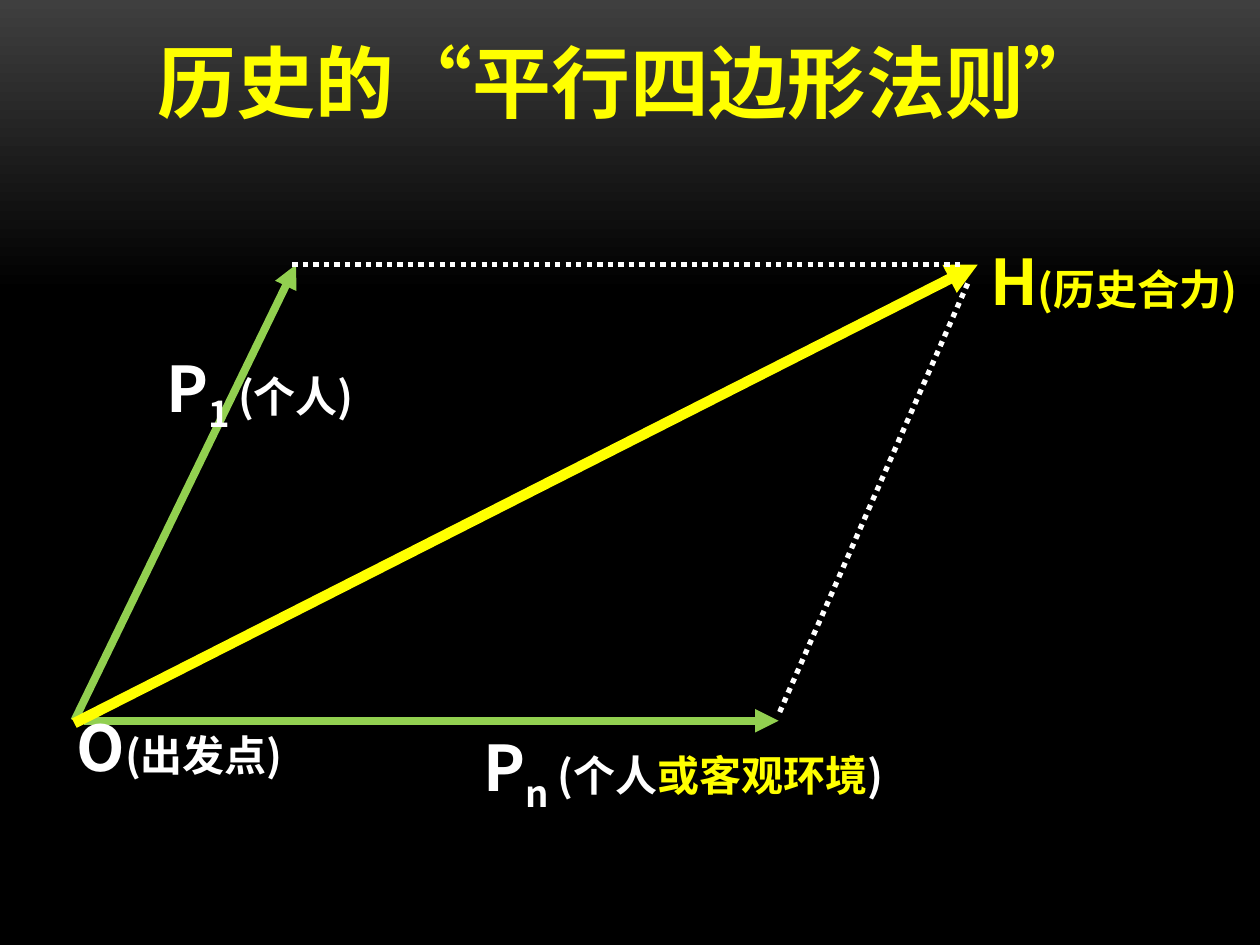
from dataclasses import dataclass

from lxml.etree import SubElement
from pptx import Presentation
from pptx.dml.color import RGBColor
from pptx.enum.dml import MSO_LINE
from pptx.enum.shapes import MSO_CONNECTOR
from pptx.enum.text import MSO_ANCHOR, MSO_AUTO_SIZE, PP_ALIGN
from pptx.oxml.ns import qn
from pptx.util import Inches, Pt


@dataclass(frozen=True)
class Theme:
    font: str = "Noto Sans CJK SC"
    white: str = "FFFFFF"
    gold: str = "FFFF00"
    green: str = "92D050"
    glow: str = "3F3F3F"
    dark: str = "000000"
    title: int = 45
    mark: int = 36
    note: int = 24
    lead: float = 0.9


THEME = Theme()
WIDE, HIGH = 10, 7.5


def across(pct):
    return Inches(WIDE * pct / 100)


def down(pct):
    return Inches(HIGH * pct / 100)


def paint(slide):
    """Fade the background from grey at the top to black."""
    fill = slide.background.fill
    fill.gradient()
    fill.gradient_angle = 270
    stops = ((0, THEME.glow), (0.31, THEME.dark))
    for stop, (place, color) in zip(fill.gradient_stops, stops):
        stop.position = place
        stop.color.rgb = RGBColor.from_string(color)


def draw_line(shapes, start, end, color, width):
    line = shapes.add_connector(
        MSO_CONNECTOR.STRAIGHT,
        across(start[0]), down(start[1]), across(end[0]), down(end[1]))
    line.line.color.rgb = RGBColor.from_string(color)
    line.line.width = Pt(width)
    SubElement(line._element.spPr, qn("a:effectLst"))
    return line


def draw_force(shapes, start, end, color, width):
    """Draw a solid line with an arrowhead at its end."""
    line = draw_line(shapes, start, end, color, width)
    SubElement(line.line._get_or_add_ln(), qn("a:tailEnd"), type="triangle")


def draw_side(shapes, start, end):
    """Draw a dotted side that closes the parallelogram."""
    line = draw_line(shapes, start, end, THEME.white, 3)
    line.line.dash_style = MSO_LINE.ROUND_DOT


def add_text(shapes, place, parts):
    """Add one paragraph; each part is text, size, colour and baseline."""
    left, top, width, height = place
    box = shapes.add_textbox(
        across(left), down(top), across(width), down(height))
    frame = box.text_frame
    frame.word_wrap = True
    para = frame.paragraphs[0]
    para.line_spacing = THEME.lead
    for text, size, color, base in parts:
        run = para.add_run()
        run.text = text
        font = run.font
        font.name, font.size, font.bold = THEME.font, Pt(size), True
        font.color.rgb = RGBColor.from_string(color)
        props = run._r.get_or_add_rPr()
        SubElement(props, qn("a:ea"), typeface=THEME.font)
        if base:
            props.set("baseline", str(base * 1000))
    return frame


def add_label(shapes, place, mark, sub, notes, color):
    """Add a point's letter, its index and its notes in brackets."""
    parts = [(mark, THEME.mark, color, 0)]
    if sub:
        parts.append((sub + " ", THEME.mark, color, -25))
    parts += [(text, THEME.note, tint, 0) for text, tint in notes]
    frame = add_text(shapes, place, parts)
    frame.auto_size = MSO_AUTO_SIZE.SHAPE_TO_FIT_TEXT


def add_title(shapes, text):
    frame = add_text(shapes, (0, 5.07, 100, 8.27),
                     [(text, THEME.title, THEME.gold, 0)])
    frame.vertical_anchor = MSO_ANCHOR.MIDDLE
    frame.paragraphs[0].alignment = PP_ALIGN.CENTER


def main():
    deck = Presentation()
    deck.slide_width, deck.slide_height = Inches(WIDE), Inches(HIGH)
    slide = deck.slides.add_slide(deck.slide_layouts[6])
    shapes = slide.shapes
    white, gold, green = THEME.white, THEME.gold, THEME.green
    paint(slide)

    roof, floor = 28, 76.27
    draw_force(shapes, (6.7, floor), (61.8, floor), green, 4.5)
    draw_force(shapes, (5.9, floor), (23.5, roof), green, 4.5)
    draw_force(shapes, (5.9, 76.53), (77.6, roof), gold, 6)

    add_label(shapes, (37.4, 76.53, 46.2, 9.47), "P", "n",
              [("(个人", white), ("或客观环境", gold), (")", white)], white)
    add_label(shapes, (12.2, 36.4, 25.2, 9.47), "P", "1",
              [("(个人)", white)], white)
    add_label(shapes, (5.1, 75.2, 20, 9.33), "O", "",
              [("(出发点)", white)], white)

    group = shapes.add_group_shape().shapes
    draw_side(group, (23.2, roof), (76.6, roof))
    draw_side(group, (76.8, 30), (61.8, 75.6))
    add_label(group, (77.6, 25.87, 22.4, 9.47), "H", "",
              [("(历史合力)", gold)], gold)

    add_title(shapes, "历史的“平行四边形法则”")
    deck.save("out.pptx")


if __name__ == "__main__":
    main()
